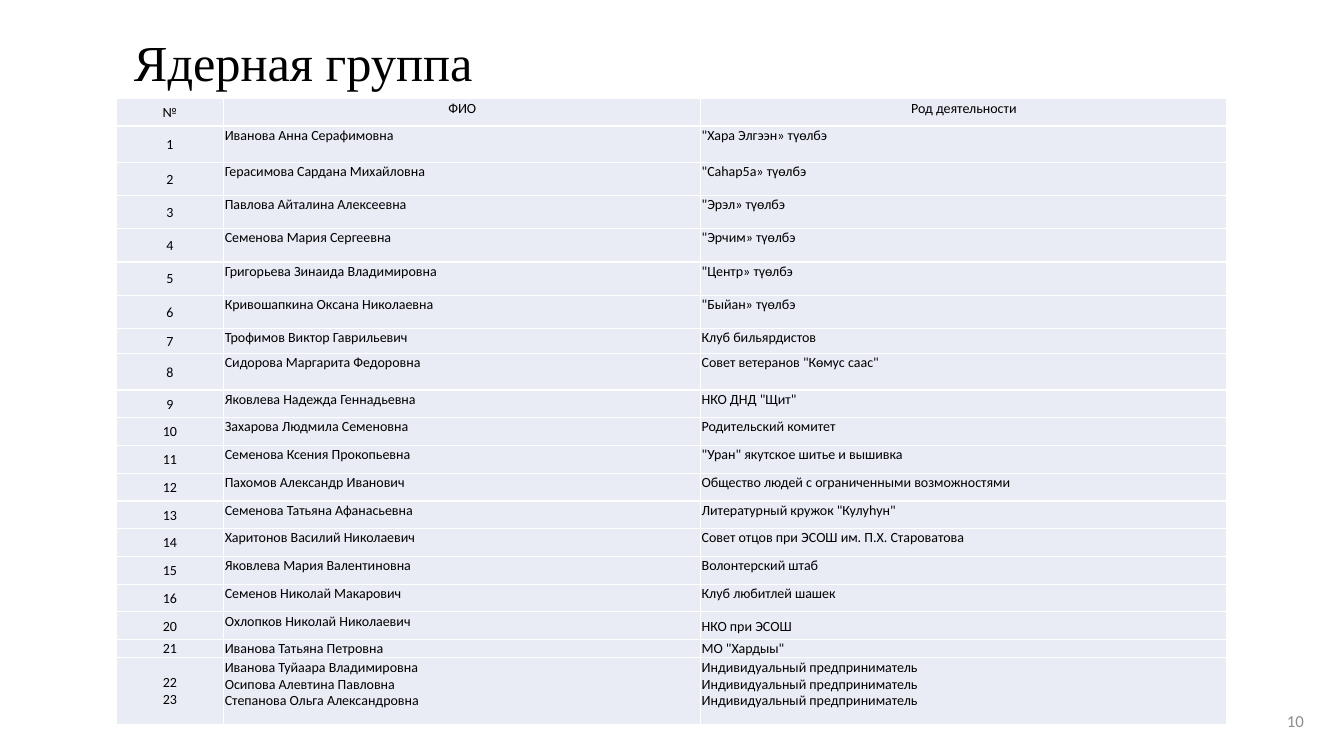
"""Build the slide listing the members of the core group and their occupations."""
import pptx
import pptx.dml.color
import pptx.enum.text
import pptx.oxml
import pptx.util
from pptx.oxml.ns import nsdecls
from pptx.util import Inches

THEME = {
    "ink": "000000", "muted": "8C8C8C", "cell": "E9EBF5", "border": "FFFFFF",
    "title_font": "Times New Roman", "body_font": "Calibri",
    "title_size": 36, "body_size": 10, "number_size": 12,
}
ALIGN = pptx.enum.text.PP_ALIGN
ANCHOR = pptx.enum.text.MSO_ANCHOR


def write(tf, text, align, font, size, color):
    """Fill a text frame with one paragraph per line of text."""
    for i, line in enumerate(text.split("\n")):
        p = tf.add_paragraph() if i else tf.paragraphs[0]
        p.alignment = align
        r = p.add_run()
        r.text = line
        style = {"name": THEME[font], "size": pptx.util.Pt(THEME[size]), "bold": False}
        for name, value in style.items():
            setattr(r.font, name, value)
        r.font.color.rgb = pptx.dml.color.RGBColor.from_string(THEME[color])


EVEN = 2.48 / 9
ENTREPRENEUR = "Индивидуальный предприниматель"
ROWS = [
    (0.27, "№", "ФИО", "Род деятельности"),
    (0.36, "1", "Иванова Анна Серафимовна", '"Хара Элгээн» түөлбэ'),
    (0.33, "2", "Герасимова Сардана Михайловна", '"Саhaр5а» түөлбэ'),
    (0.33, "3", "Павлова Айталина Алексеевна", '"Эрэл» түөлбэ'),
    (0.33, "4", "Семенова Мария Сергеевна", '"Эрчим» түөлбэ'),
    (0.33, "5", "Григорьева Зинаида Владимировна", '"Центр» түөлбэ'),
    (0.33, "6", "Кривошапкина Оксана Николаевна", '"Быйан» түөлбэ'),
    (0.25, "7", "Трофимов Виктор Гаврильевич", "Клуб бильярдистов"),
    (0.36, "8", "Сидорова Маргарита Федоровна", 'Совет ветеранов "Көмус саас"'),
    (EVEN, "9", "Яковлева Надежда Геннадьевна", 'НКО ДНД "Щит"'),
    (EVEN, "10", "Захарова Людмила Семеновна", "Родительский комитет"),
    (EVEN, "11", "Семенова Ксения Прокопьевна", '"Уран" якутское шитье и вышивка'),
    (EVEN, "12", "Пахомов Александр Иванович", "Общество людей с ограниченными возможностями"),
    (EVEN, "13", "Семенова Татьяна Афанасьевна", 'Литературный кружок "Кулуhун"'),
    (EVEN, "14", "Харитонов Василий Николаевич", "Совет отцов при ЭСОШ им. П.Х. Староватова"),
    (EVEN, "15", "Яковлева Мария Валентиновна", "Волонтерский штаб"),
    (EVEN, "16", "Семенов Николай Макарович", "Клуб любитлей шашек"),
    (EVEN, "20", "Охлопков Николай Николаевич", "НКО при ЭСОШ"),
    (0.18, "21", "Иванова Татьяна Петровна", 'МО "Хардыы"'),
    (0.66, "22\n23",
     "Иванова Туйаара Владимировна\nОсипова Алевтина Павловна\nСтепанова Ольга Александровна",
     "\n".join([ENTREPRENEUR] * 3)),
]
WIDTHS = [1.07, 4.73, 5.22]
MIDDLE_ACTIVITIES = {"20", "21"}

prs = pptx.Presentation()
prs.slide_width, prs.slide_height = Inches(13.33), Inches(7.5)
s = prs.slides.add_slide(prs.slide_layouts[6])

sp = s.shapes.add_textbox(Inches(11.66), Inches(6.95), Inches(1.37), Inches(0.4))
sp.text_frame.word_wrap = True
sp.text_frame.vertical_anchor = ANCHOR.MIDDLE
write(sp.text_frame, "10", ALIGN.RIGHT, "body_font", "number_size", "muted")

height = sum(row[0] for row in ROWS)
table = s.shapes.add_table(len(ROWS), len(WIDTHS), Inches(1.15), Inches(0.98),
                           Inches(sum(WIDTHS)), Inches(height)).table
table.first_row = table.horz_banding = False
for column, width in zip(table.columns, WIDTHS):
    column.width = Inches(width)

for i, (row_height, *texts) in enumerate(ROWS):
    table.rows[i].height = Inches(row_height)
    for j, text in enumerate(texts):
        cell = table.cell(i, j)
        middle = j == 0 or (j == 2 and texts[0] in MIDDLE_ACTIVITIES)
        layout = {
            "margin_left": Inches(0.01), "margin_right": Inches(0.01),
            "margin_top": Inches(0.01), "margin_bottom": 0,
            "vertical_anchor": ANCHOR.MIDDLE if middle else ANCHOR.TOP,
        }
        for name, value in layout.items():
            setattr(cell, name, value)
        tcPr = cell._tc.get_or_add_tcPr()
        for side in ("lnL", "lnR", "lnT", "lnB"):
            tcPr.append(pptx.oxml.parse_xml(
                f'<a:{side} {nsdecls("a")} w="12700"><a:solidFill>'
                f'<a:srgbClr val="{THEME["border"]}"/></a:solidFill></a:{side}>'))
        cell.fill.solid()
        cell.fill.fore_color.rgb = pptx.dml.color.RGBColor.from_string(THEME["cell"])
        align = ALIGN.CENTER if i == 0 or j == 0 else ALIGN.LEFT
        write(cell.text_frame, text, align, "body_font", "body_size", "ink")

sp = s.shapes.add_textbox(Inches(1.23), Inches(0.26), Inches(3.59), Inches(0.71))
sp.text_frame.word_wrap = False
sp.text_frame.auto_size = pptx.enum.text.MSO_AUTO_SIZE.SHAPE_TO_FIT_TEXT
write(sp.text_frame, "Ядерная группа", ALIGN.LEFT, "title_font", "title_size", "ink")

prs.save("out.pptx")
